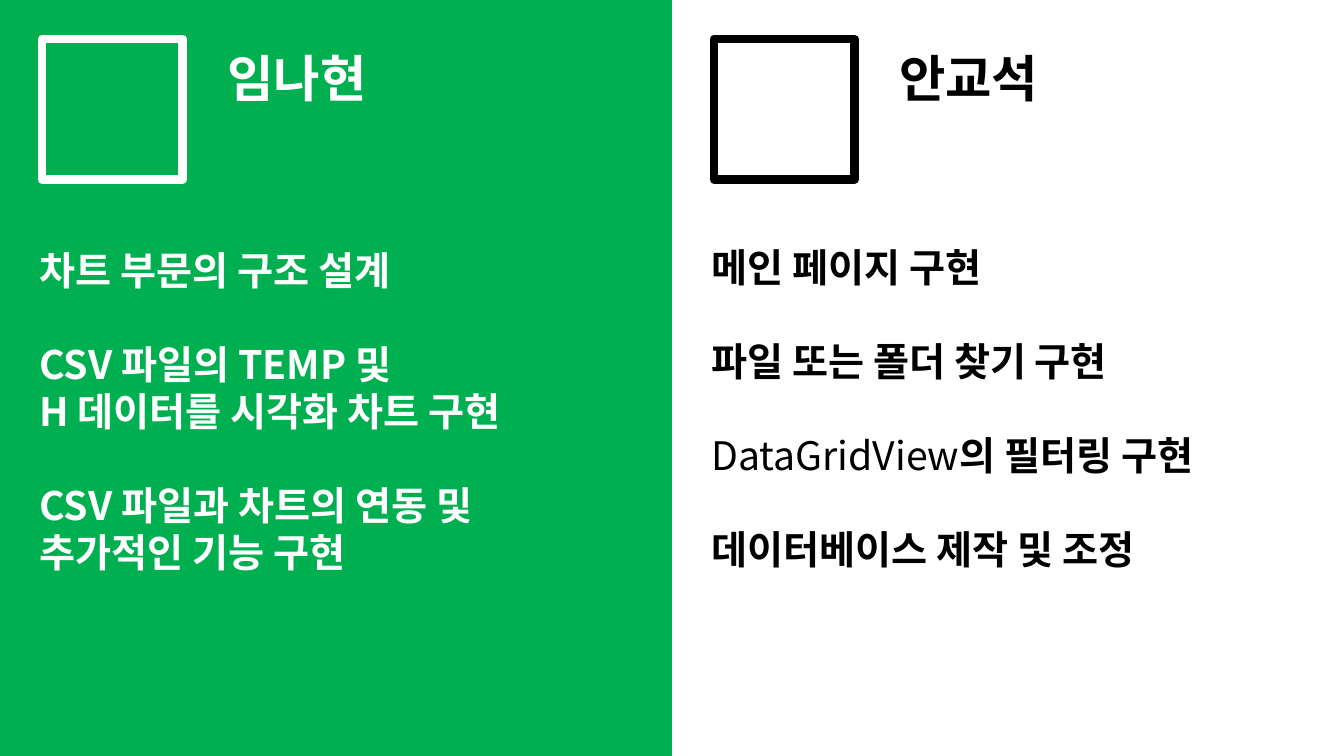
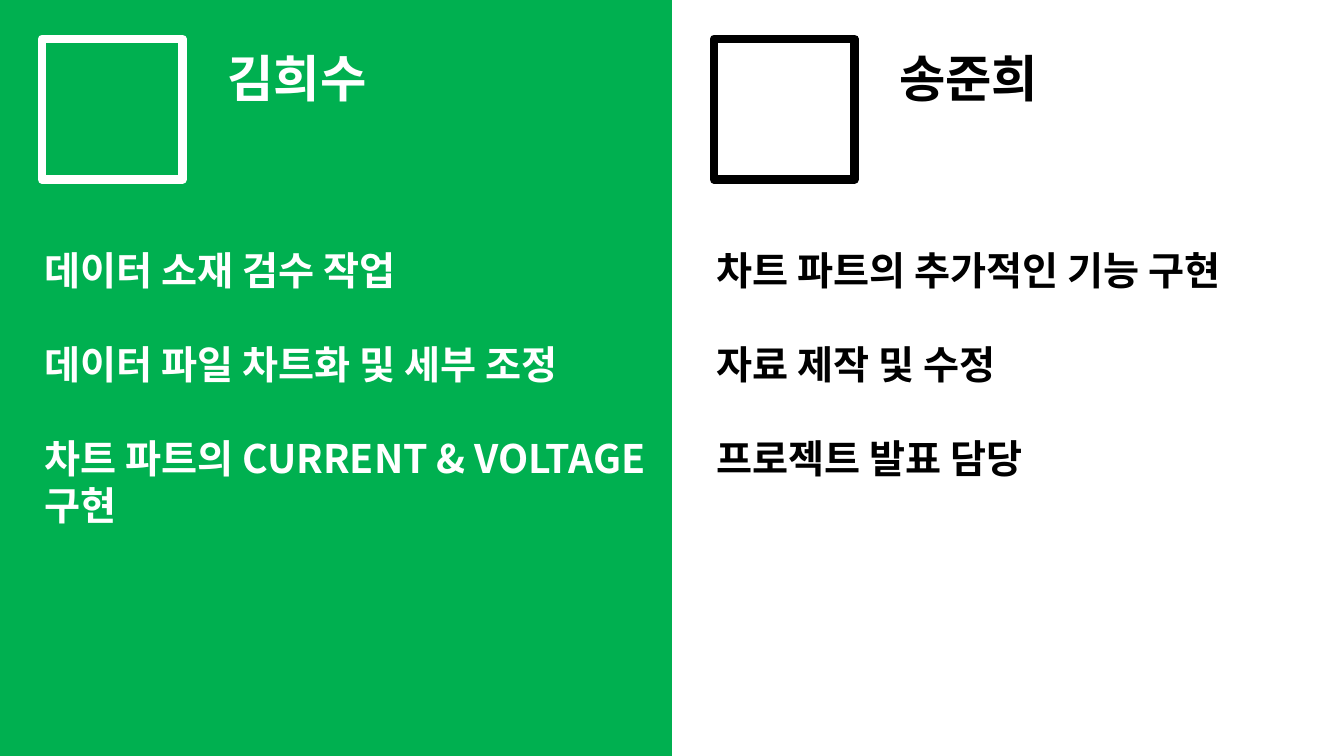
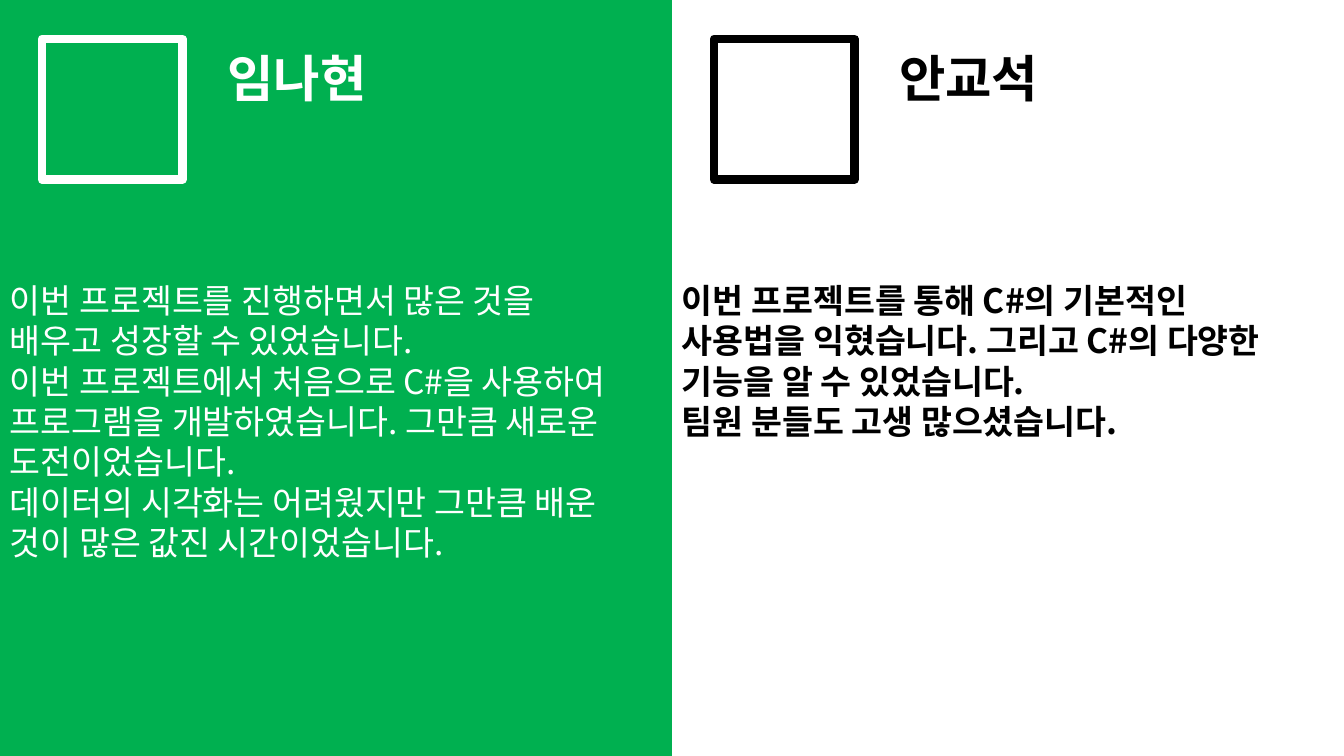
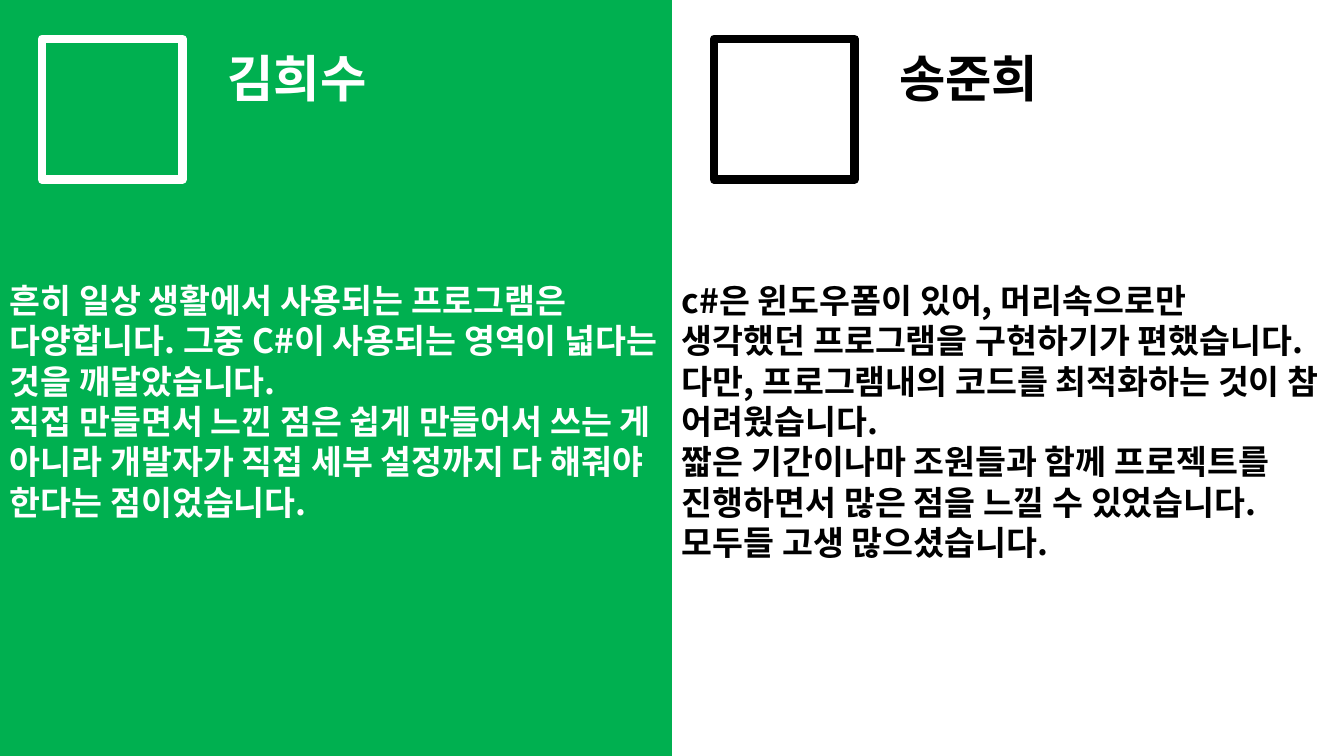
from pptx import Presentation
from pptx.dml.color import RGBColor as RGB
from pptx.enum.shapes import MSO_SHAPE as SHAPE
from pptx.enum.text import MSO_AUTO_SIZE as FIT
from pptx.oxml.ns import qn
from pptx.util import Emu, Pt

PX = 9525
WIDE, HIGH = 1280, 720
HALF = WIDE // 2
FONT = "Noto Sans CJK KR"
HUES = {"green": "00B050", "white": "FFFFFF", "black": "000000"}

TASK, NOTE = 28, 24
GAP = 33.6

slides = [
    (TASK, [
        ("임나현", 28, 230, True, [
            ["차트 부문의 구조 설계"],
            ["CSV 파일의 TEMP 및", "H 데이터를 시각화 차트 구현"],
            ["CSV 파일과 차트의 연동 및", "추가적인 기능 구현"],
        ]),
        ("안교석", 28, 227, True, [
            ["메인 페이지 구현"],
            ["파일 또는 폴더 찾기 구현"],
            [("DataGridView", "의 필터링 구현")],
            ["데이터베이스 제작 및 조정"],
        ]),
    ]),
    (TASK, [
        ("김희수", 33, 230, True, [
            ["데이터 소재 검수 작업"],
            ["데이터 파일 차트화 및 세부 조정"],
            ["차트 파트의 CURRENT & VOLTAGE 구현"],
        ]),
        ("송준희", 33, 230, True, [
            ["차트 파트의 추가적인 기능 구현"],
            ["자료 제작 및 수정"],
            ["프로젝트 발표 담당"],
        ]),
    ]),
    (NOTE, [
        ("임나현", 0, 262, False, [[
            "이번 프로젝트를 진행하면서 많은 것을",
            "배우고 성장할 수 있었습니다.",
            "이번 프로젝트에서 처음으로 C#을 사용하여 프로그램을 개발하였습니다. 그만큼 새로운",
            "도전이었습니다.",
            "데이터의 시각화는 어려웠지만 그만큼 배운 것이 많은 값진 시간이었습니다.",
        ]]),
        ("안교석", 0, 262, True, [[
            "이번 프로젝트를 통해 C#의 기본적인",
            "사용법을 익혔습니다. 그리고 C#의 다양한 기능을 알 수 있었습니다.",
            "팀원 분들도 고생 많으셨습니다.",
        ]]),
    ]),
    (NOTE, [
        ("김희수", 0, 262, True, [[
            "흔히 일상 생활에서 사용되는 프로그램은 다양합니다. 그중 C#이 사용되는 영역이 넓다는 것을 깨달았습니다.",
            "직접 만들면서 느낀 점은 쉽게 만들어서 쓰는 게 아니라 개발자가 직접 세부 설정까지 다 해줘야 한다는 점이었습니다.",
        ]]),
        ("송준희", 0, 262, True, [[
            "c#은 윈도우폼이 있어, 머리속으로만",
            "생각했던 프로그램을 구현하기가 편했습니다.",
            "다만, 프로그램내의 코드를 최적화하는 것이 참 어려웠습니다.",
            "짧은 기간이나마 조원들과 함께 프로젝트를 진행하면서 많은 점을 느낄 수 있었습니다.",
            "모두들 고생 많으셨습니다.",
        ]]),
    ]),
]


def add_box(slide, left, top, width, height, fill=None, line=None):
    box = slide.shapes.add_shape(SHAPE.RECTANGLE, *(Emu(n * PX) for n in (left, top, width, height)))
    box.shadow.inherit = False
    if fill:
        box.fill.solid()
        box.fill.fore_color.rgb = RGB.from_string(HUES[fill])
    else:
        box.fill.background()
    if line:
        box.line.color.rgb = RGB.from_string(HUES[line])
        box.line.width = Pt(6)
    else:
        box.line.fill.background()


def add_text(slide, left, top, width, height, groups, size, hue, bold=True):
    box = slide.shapes.add_textbox(*(Emu(n * PX) for n in (left, top, width, height)))
    frame = box.text_frame
    frame.word_wrap = True
    frame.auto_size = FIT.SHAPE_TO_FIT_TEXT
    lines = [(row, g > 0 and i == 0) for g, rows in enumerate(groups) for i, row in enumerate(rows)]
    for n, (row, apart) in enumerate(lines):
        para = frame.add_paragraph() if n else frame.paragraphs[0]
        if apart:
            para.space_before = Pt(GAP)
        font = para.font
        font.name, font.size, font.bold = FONT, Pt(size), bold
        font.color.rgb = RGB.from_string(HUES[hue])
        east = font._element.makeelement(qn("a:ea"), {"typeface": FONT})
        font._element.find(qn("a:latin")).addnext(east)
        parts = [row] if isinstance(row, str) else row
        for part in parts:
            para.add_run().text = part
        if len(parts) > 1:
            para.runs[0].font.bold = False


deck = Presentation()
deck.slide_width, deck.slide_height = Emu(WIDE * PX), Emu(HIGH * PX)

for size, people in slides:
    slide = deck.slides.add_slide(deck.slide_layouts[6])
    add_box(slide, 0, 0, HALF, HIGH, fill="green")
    for side, (name, left, top, bold, groups) in enumerate(people):
        x = side * HALF
        hue = ("white", "black")[side]
        add_box(slide, x + 40, 37, 134, 134, line=hue)
        add_text(slide, x + 207, 40, 333, 68, [[name]], 36, hue)
        add_text(slide, x + left, top, HALF, 320, groups, size, hue, bold)

deck.save("out.pptx")
